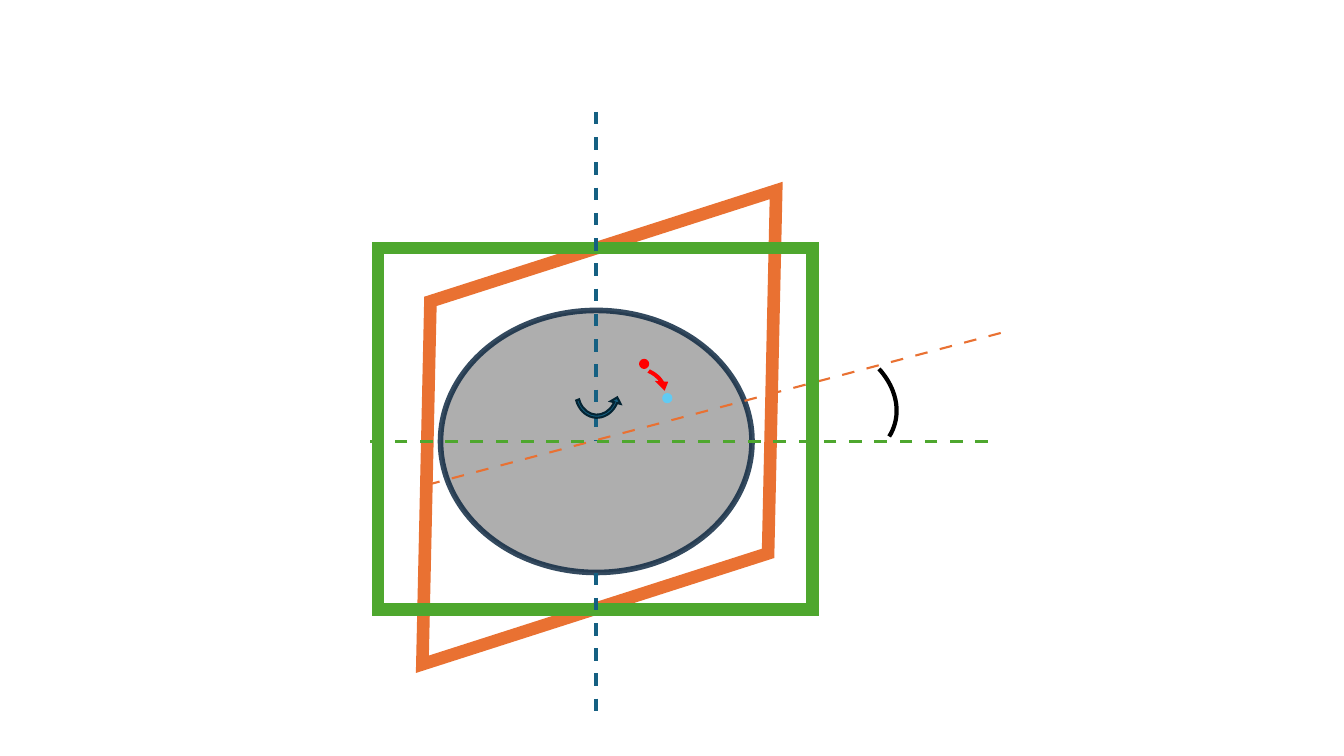
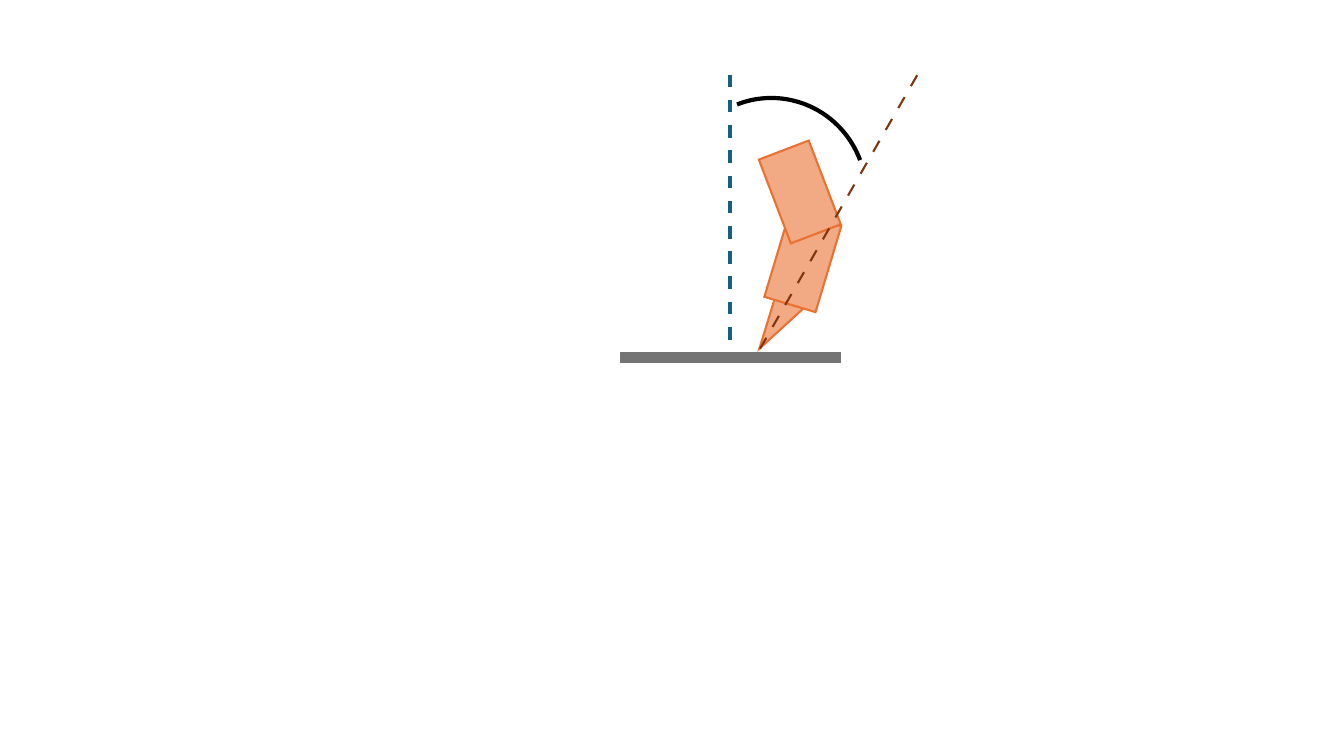
from dataclasses import dataclass

from lxml.etree import SubElement
from pptx import Presentation
from pptx.dml.color import RGBColor
from pptx.enum.shapes import MSO_CONNECTOR, MSO_SHAPE
from pptx.oxml.ns import qn
from pptx.util import Inches, Pt

CELL = Inches(0.1)  # side of one grid cell: all lengths are in columns and rows
ANGLE_UNIT = 0.6    # adjustment value of one degree


@dataclass(frozen=True)
class Theme:
    axis: str = "156082"
    arrow_edge: str = "042433"
    green: str = "4EA72E"
    orange: str = "E97132"
    skin: str = "F2AA84"
    brown: str = "80350E"
    disc: str = "AEAEAE"
    disc_edge: str = "0E2841"
    red: str = "FF0000"
    cyan: str = "61CBF4"
    ground: str = "747474"
    black: str = "000000"
    thin: float = 1.5
    medium: float = 3
    rim: float = 4
    bar: float = 8
    frame: float = 9
    dash: float = 9


def grid(*lengths):
    return [round(length * CELL) for length in lengths]


def degrees(angle):
    return angle % 360 * ANGLE_UNIT


class Sketch:
    """The deck, its theme and the slide being drawn."""

    def __init__(self, theme):
        self.theme = theme
        self.deck = Presentation()
        self.deck.slide_width = Inches(13.333)
        self.deck.slide_height = Inches(7.5)

    def new_slide(self):
        blank = self.deck.slide_layouts[6]
        self.shapes = self.deck.slides.add_slide(blank).shapes

    def stroke(self, line, color, width, dashed=False, opacity=None):
        line.width = Pt(width)
        line.fill.solid()
        line.fill.fore_color.rgb = RGBColor.from_string(color)
        outline = line.fill._xPr
        if opacity is not None:
            tint = outline.find(".//" + qn("a:srgbClr"))
            SubElement(tint, qn("a:alpha"), val=str(opacity * 1000))
        if dashed:
            share = str(round(self.theme.dash / width * 100000))
            pattern = SubElement(outline, qn("a:custDash"))
            SubElement(pattern, qn("a:ds"), d=share, sp=share)
        SubElement(outline, qn("a:miter"), lim="800000")

    def paint(self, shape, fill, color, width, **stroke):
        shape.shadow.inherit = False
        if fill:
            shape.fill.solid()
            shape.fill.fore_color.rgb = RGBColor.from_string(fill)
        else:
            shape.fill.background()
        self.stroke(shape.line, color, width, **stroke)

    def shape(self, kind, box, color, width, fill=None, turn=0, adjust=(), **stroke):
        """Add a preset shape; box is left, top, width, height."""
        shape = self.shapes.add_shape(kind, *grid(*box))
        shape.rotation = turn
        for index, value in enumerate(adjust):
            shape.adjustments[index] = value
        self.paint(shape, fill, color, width, **stroke)
        return shape

    def dot(self, left, top, color):
        size = 0.8
        self.shape(MSO_SHAPE.OVAL, (left, top, size, size), color,
                   self.theme.thin, fill=color)

    def limb(self, kind, box, turn):
        self.shape(kind, box, self.theme.orange, self.theme.thin,
                   fill=self.theme.skin, turn=turn)

    def arc(self, box, turn, start, end):
        self.shape(MSO_SHAPE.ARC, box, self.theme.black, self.theme.medium,
                   turn=turn, adjust=(degrees(start), degrees(end)))

    def turning_arrow(self, box, turn, start, end, thickness, fill, color, mirrored=False):
        head_angle, head_size = 15, 0.1
        adjust = (thickness, degrees(head_angle), degrees(end), degrees(start), head_size)
        arrow = self.shape(MSO_SHAPE.CIRCULAR_ARROW, box, color, self.theme.thin,
                           fill=fill, turn=turn, adjust=adjust)
        if mirrored:
            arrow.element.spPr.find(qn("a:xfrm")).set("flipH", "1")

    def polygon(self, points, color, width):
        first, *rest = [tuple(grid(*point)) for point in points]
        builder = self.shapes.build_freeform(*first)
        builder.add_line_segments(rest, close=True)
        self.paint(builder.convert_to_shape(), None, color, width)

    def line(self, start, end, color, width, dashed=True):
        line = self.shapes.add_connector(MSO_CONNECTOR.STRAIGHT, *grid(*start, *end))
        self.stroke(line.line, color, width, dashed=dashed)
        SubElement(line.element.spPr, qn("a:effectLst"))


def draw_rotating_planes(sketch):
    theme = sketch.theme
    sketch.new_slide()
    sketch.shape(MSO_SHAPE.OVAL, (43.7, 30.8, 30.9, 26), theme.disc_edge, theme.rim,
                 fill=theme.disc, opacity=83)
    sketch.polygon([(41.9, 65.9), (42.7, 29.9), (77, 18.9), (76.2, 54.9)],
                   theme.orange, theme.frame)
    sketch.line((42.4, 48.1), (99.4, 33), theme.orange, theme.thin)
    sketch.shape(MSO_SHAPE.RECTANGLE, (37.5, 24.6, 43.1, 35.9), theme.green, theme.frame)
    for top, bottom in ((11.1, 43.8), (56.8, 70.8)):
        sketch.line((59.15, top), (59.15, bottom), theme.axis, theme.medium)
    sketch.line((98, 43.8), (36.7, 43.8), theme.green, theme.thin)
    sketch.arc((72.5, 33.5, 16.6, 12.5), turn=16.5, start=317.3, end=9.1)
    sketch.dot(63.5, 35.7, theme.red)
    sketch.dot(65.8, 39.1, theme.cyan)
    sketch.turning_arrow((56.7, 36, 5.1, 5.8), turn=183.3, start=204.8, end=333.7,
                         thickness=0.06, fill=theme.axis, color=theme.arrow_edge,
                         mirrored=True)
    sketch.turning_arrow((60.2, 36.1, 6.2, 4.6), turn=13.9, start=292.7, end=335.3,
                         thickness=0.04, fill=theme.red, color=theme.red)


def draw_leaning_finger(sketch):
    theme = sketch.theme
    sketch.new_slide()
    sketch.line((61.5, 35.5), (83.4, 35.5), theme.ground, theme.bar, dashed=False)
    sketch.limb(MSO_SHAPE.ISOSCELES_TRIANGLE, (75.3, 28.5, 3.6, 6.6), turn=212.3)
    for left, top, turn in ((77, 21.5, 16.7), (76.7, 14.6, 339.1)):
        sketch.limb(MSO_SHAPE.RECTANGLE, (left, top, 5.3, 8.9), turn)
    sketch.line((75.4, 34.6), (91.2, 7.1), theme.brown, theme.thin)
    sketch.arc((67.3, 9.7, 18.6, 18.8), turn=331, start=277.3, end=8.8)
    sketch.line((72.4, 7.4), (72.4, 34.6), theme.axis, theme.medium)


def main():
    sketch = Sketch(Theme())
    draw_rotating_planes(sketch)
    draw_leaning_finger(sketch)
    sketch.deck.save("out.pptx")


if __name__ == "__main__":
    main()
